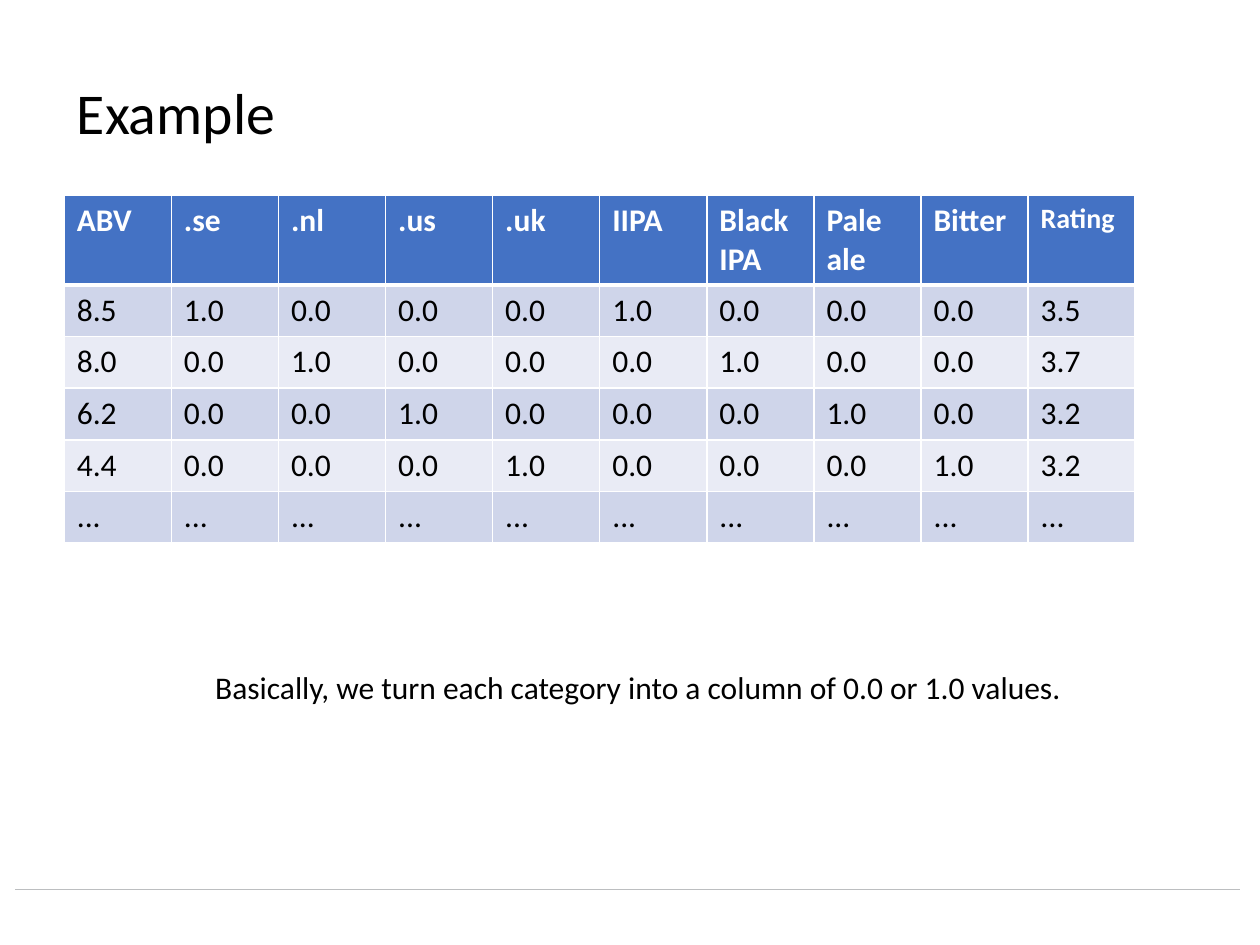
from lxml.etree import SubElement
from pptx import Presentation
from pptx.dml.color import RGBColor
from pptx.enum.shapes import MSO_CONNECTOR
from pptx.enum.text import MSO_ANCHOR, MSO_AUTO_SIZE, PP_ALIGN
from pptx.oxml.ns import qn
from pptx.util import Inches, Pt

TITLE = "Example"
HEADINGS = ["ABV", ".se", ".nl", ".us", ".uk", "IIPA", "Black IPA", "Pale ale", "Bitter", "Rating"]
BEERS = [
    ["8.5", "1.0", "0.0", "0.0", "0.0", "1.0", "0.0", "0.0", "0.0", "3.5"],
    ["8.0", "0.0", "1.0", "0.0", "0.0", "0.0", "1.0", "0.0", "0.0", "3.7"],
    ["6.2", "0.0", "0.0", "1.0", "0.0", "0.0", "0.0", "1.0", "0.0", "3.2"],
    ["4.4", "0.0", "0.0", "0.0", "1.0", "0.0", "0.0", "0.0", "1.0", "3.2"],
    ["..."] * len(HEADINGS),
]
SUMMARY = "Basically, we turn each category into a column of 0.0 or 1.0 values."

FONT = "Calibri"
BLACK = RGBColor(0x00, 0x00, 0x00)
WHITE = RGBColor(0xFF, 0xFF, 0xFF)
BLUE = RGBColor(0x44, 0x72, 0xC4)
BANDS = [RGBColor(0xCF, 0xD5, 0xEA), RGBColor(0xE9, 0xEB, 0xF5)]
GREY = RGBColor(0xBC, 0xBE, 0xC0)

LEFT, WIDTH = 0.51, 8.5
TABLE_TOP, ROW_HEIGHT = 1.55, 0.41


def write(frame, text, size, color=BLACK, bold=False):
    paragraph = frame.paragraphs[0]
    run = paragraph.add_run()
    run.text = text
    run.font.name = FONT
    run.font.size = Pt(size)
    run.font.bold = bold
    run.font.color.rgb = color
    return paragraph


def draw_borders(cell, top, bottom):
    properties = cell._tc.get_or_add_tcPr()
    for side, width in (("lnL", 1), ("lnR", 1), ("lnT", top), ("lnB", bottom)):
        border = SubElement(properties, qn(f"a:{side}"), w=str(Pt(width)))
        fill = SubElement(border, qn("a:solidFill"))
        SubElement(fill, qn("a:srgbClr"), val=str(WHITE))


def add_rule(slide):
    rule = slide.shapes.add_connector(
        MSO_CONNECTOR.STRAIGHT, Inches(0.12), Inches(7.06), Inches(9.84), Inches(7.06))
    rule.line.color.rgb = GREY
    rule.line.width = Pt(0.5)
    SubElement(rule._element.spPr, qn("a:effectLst"))


def add_title(slide):
    title = slide.shapes.title
    title.left, title.top = Inches(LEFT), Inches(0.29)
    title.width, title.height = Inches(WIDTH), Inches(1.18)
    title.text_frame.vertical_anchor = MSO_ANCHOR.MIDDLE
    heading = write(title.text_frame, TITLE, 33)
    heading.alignment = PP_ALIGN.LEFT
    heading.line_spacing = Pt(40)


def add_beer_table(slide):
    rows = [HEADINGS] + BEERS
    table = slide.shapes.add_table(
        len(rows), len(HEADINGS), Inches(LEFT), Inches(TABLE_TOP),
        Inches(WIDTH), Inches(ROW_HEIGHT * len(rows))).table
    for column in table.columns:
        column.width = Inches(WIDTH / len(HEADINGS))
    for r, values in enumerate(rows):
        table.rows[r].height = Inches(ROW_HEIGHT)
        header = r == 0
        for c, value in enumerate(values):
            cell = table.cell(r, c)
            draw_borders(cell, top=3 if r == 1 else 1, bottom=3 if header else 1)
            cell.fill.solid()
            cell.fill.fore_color.rgb = BLUE if header else BANDS[(r - 1) % 2]
            size = 16 if value == "Rating" else 18
            write(cell.text_frame, value, size, WHITE if header else BLACK, header)


def add_summary(slide):
    summary = slide.shapes.add_textbox(Inches(1.61), Inches(5.25), Inches(6.97), Inches(0.4))
    summary.text_frame.word_wrap = False
    summary.text_frame.auto_size = MSO_AUTO_SIZE.SHAPE_TO_FIT_TEXT
    write(summary.text_frame, SUMMARY, 18)


def main():
    deck = Presentation()
    deck.slide_width, deck.slide_height = Inches(10), Inches(7.5)
    slide = deck.slides.add_slide(deck.slide_layouts[5])
    add_rule(slide)
    add_title(slide)
    add_beer_table(slide)
    add_summary(slide)
    deck.save("out.pptx")


if __name__ == "__main__":
    main()
